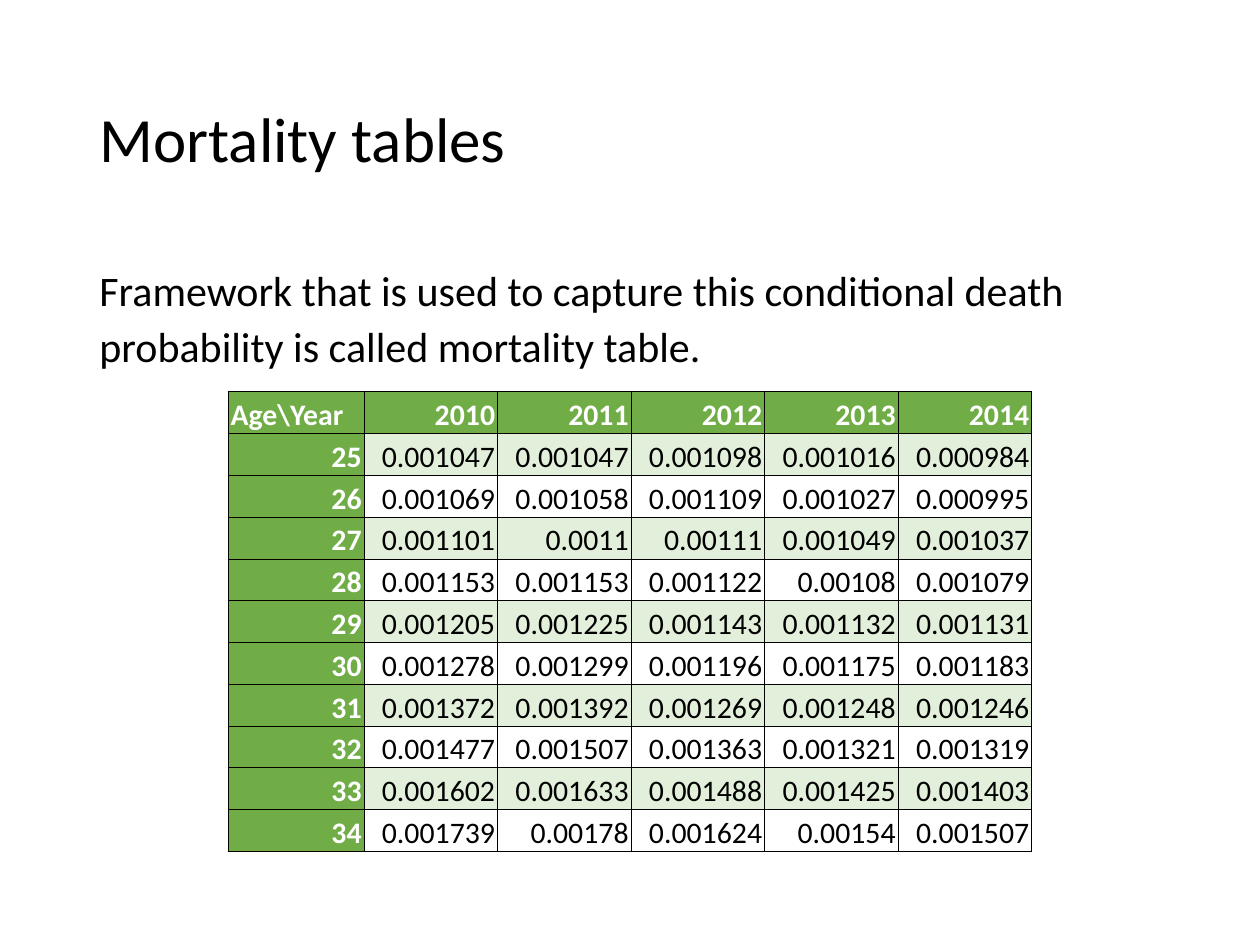
from dataclasses import dataclass

from lxml import etree
from pptx import Presentation
from pptx import util as u
from pptx.dml.color import RGBColor
from pptx.enum import text
from pptx.oxml import ns


@dataclass(frozen=True)
class Theme:
    font: str = "Calibri"
    ink: str = "000000"
    header_ink: str = "FFFFFF"
    header_fill: str = "70AD47"
    band_fill: str = "E2EFDA"
    title_size: float = 36
    body_size: float = 24
    cell_size: float = 17
    border_width: float = 0.5


THEME = Theme()
WIDTH, HEIGHT = u.Inches(10), u.Inches(7.5)
MARGIN = 0.69 / 10
CONTENT = 1 - 2 * MARGIN

YEARS = ["Age\\Year", "2010", "2011", "2012", "2013", "2014"]
FIRST_AGE = 25
RATES = [
    "0.001047 0.001047 0.001098 0.001016 0.000984",
    "0.001069 0.001058 0.001109 0.001027 0.000995",
    "0.001101 0.0011 0.00111 0.001049 0.001037",
    "0.001153 0.001153 0.001122 0.00108 0.001079",
    "0.001205 0.001225 0.001143 0.001132 0.001131",
    "0.001278 0.001299 0.001196 0.001175 0.001183",
    "0.001372 0.001392 0.001269 0.001248 0.001246",
    "0.001477 0.001507 0.001363 0.001321 0.001319",
    "0.001602 0.001633 0.001488 0.001425 0.001403",
    "0.001739 0.00178 0.001624 0.00154 0.001507",
]


def area(left, top, width, height):
    return (int(left * WIDTH), int(top * HEIGHT),
            int(width * WIDTH), int(height * HEIGHT))


def write(frame, words, size, color, align=text.PP_ALIGN.LEFT, spacing=1.0, bold=False):
    paragraph = frame.paragraphs[0]
    paragraph.alignment = align
    paragraph.line_spacing = spacing
    paragraph.space_before = u.Pt(0)
    run = paragraph.add_run()
    run.text = words
    run.font.name = THEME.font
    run.font.size = u.Pt(size)
    run.font.bold = bold
    run.font.color.rgb = RGBColor.from_string(color)


def add_title(slide, words):
    title = slide.shapes.title
    title.left, title.top, title.width, title.height = area(MARGIN, 0.4 / 7.5, CONTENT, 1.45 / 7.5)
    title.text_frame.vertical_anchor = text.MSO_ANCHOR.MIDDLE
    write(title.text_frame, words, THEME.title_size, THEME.ink, spacing=0.9)


def add_statement(slide, words):
    statement = slide.shapes.add_textbox(*area(MARGIN, 2 / 7.5, CONTENT, 4.76 / 7.5))
    statement.text_frame.word_wrap = True
    write(statement.text_frame, words, THEME.body_size, THEME.ink, spacing=1.12)


def draw_borders(cell):
    properties = cell._tc.get_or_add_tcPr()
    for side in ("a:lnL", "a:lnR", "a:lnT", "a:lnB"):
        line = etree.SubElement(properties, ns.qn(side), w=str(u.Pt(THEME.border_width)))
        fill = etree.SubElement(line, ns.qn("a:solidFill"))
        etree.SubElement(fill, ns.qn("a:srgbClr"), val=THEME.ink)


def format_cell(cell, words, row, column):
    header = row == 0 or column == 0
    cell.margin_left = cell.margin_right = cell.margin_top = u.Inches(0.02)
    cell.margin_bottom = 0
    cell.vertical_anchor = text.MSO_ANCHOR.BOTTOM
    draw_borders(cell)
    if header or row % 2:
        cell.fill.solid()
        cell.fill.fore_color.rgb = RGBColor.from_string(
            THEME.header_fill if header else THEME.band_fill)
    else:
        cell.fill.background()
    corner = row == 0 and column == 0
    write(cell.text_frame, words, THEME.cell_size,
          THEME.header_ink if header else THEME.ink,
          text.PP_ALIGN.LEFT if corner else text.PP_ALIGN.RIGHT, bold=header)


def add_mortality_table(slide):
    rows = [YEARS] + [[str(age), *rates.split()] for age, rates in enumerate(RATES, FIRST_AGE)]
    bounds = area(0.181, 3.11 / 7.5, 0.639, 3.65 / 7.5)
    table = slide.shapes.add_table(len(rows), len(YEARS), *bounds).table
    table.first_row = table.horz_banding = False
    for index, column in enumerate(table.columns):
        column.width = u.Inches(1.06 if index else 1.08)
    for row in table.rows:
        row.height = bounds[3] // len(rows)
    for row, entries in enumerate(rows):
        for column, words in enumerate(entries):
            format_cell(table.cell(row, column), words, row, column)


def main():
    deck = Presentation()
    deck.slide_width, deck.slide_height = WIDTH, HEIGHT
    slide = deck.slides.add_slide(deck.slide_layouts[5])
    add_title(slide, "Mortality tables")
    add_statement(slide, "Framework that is used to capture this conditional death "
                         "probability is called mortality table.")
    add_mortality_table(slide)
    deck.save("out.pptx")


if __name__ == "__main__":
    main()
